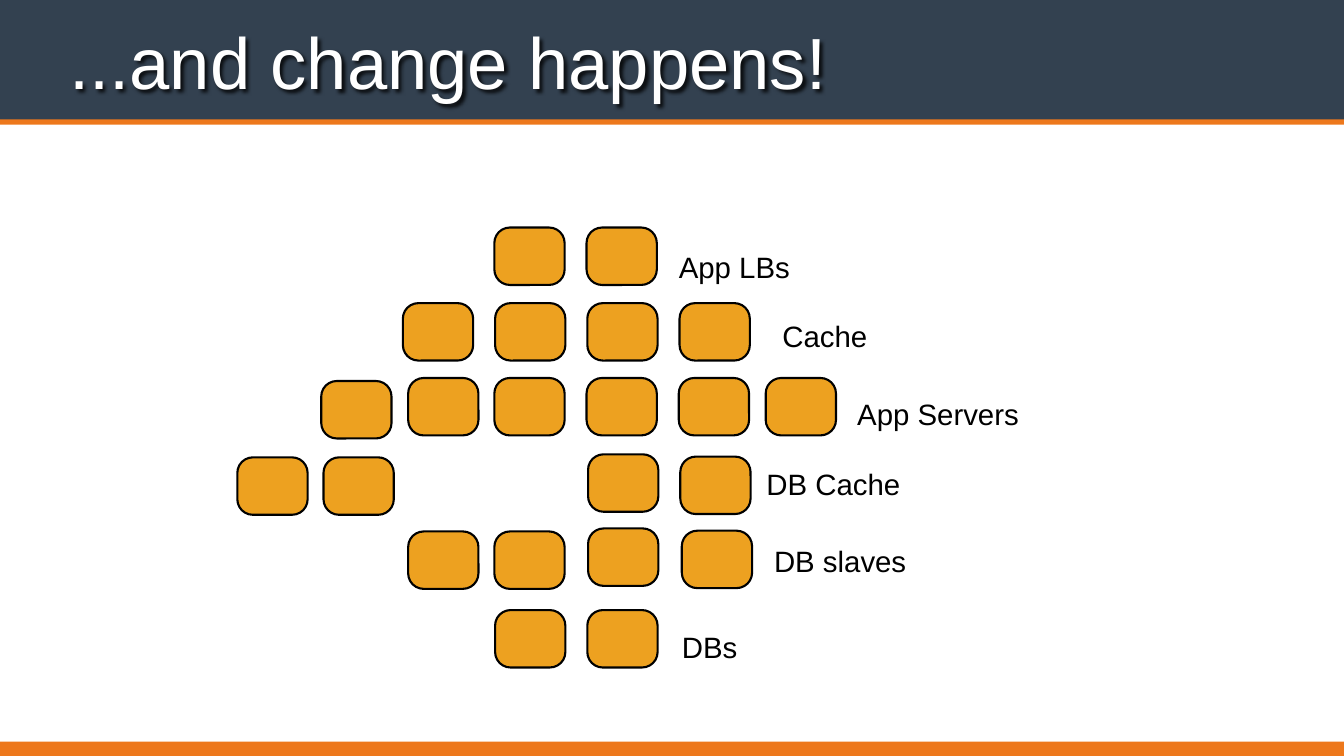
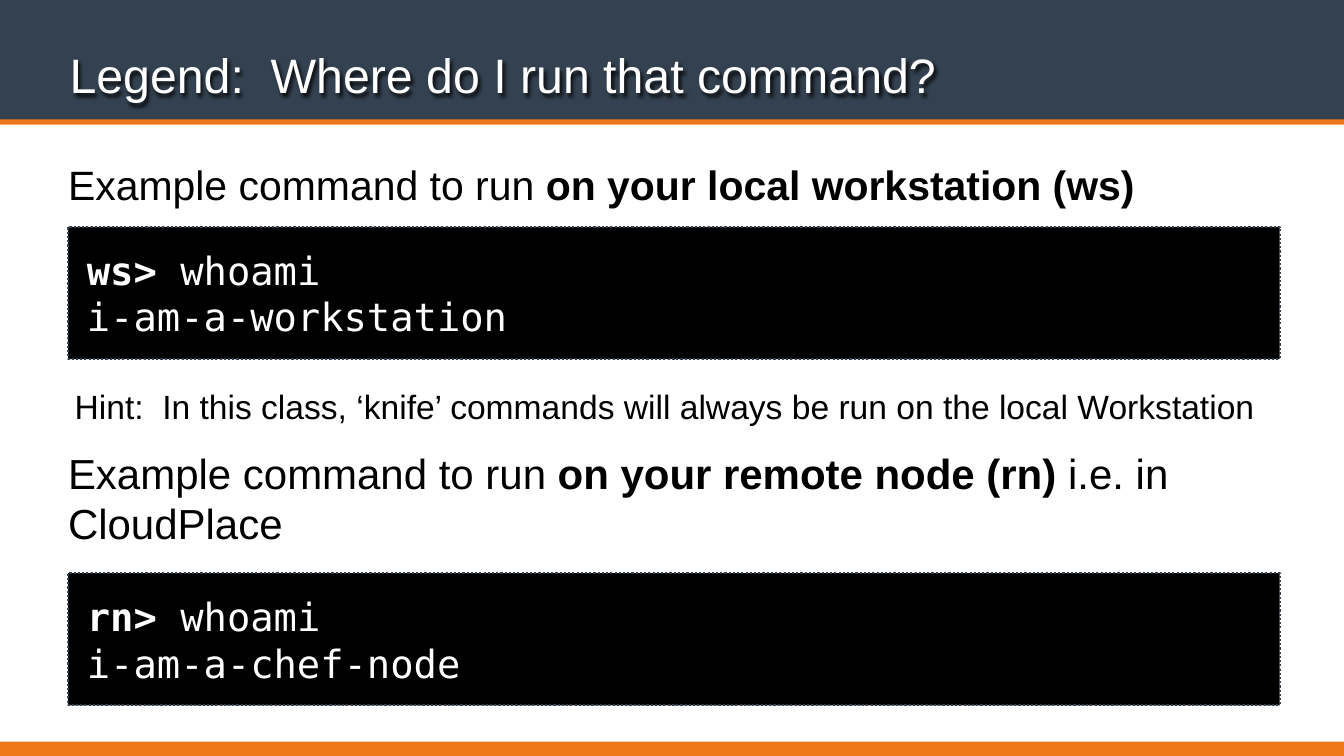
from dataclasses import dataclass

from lxml import etree
from pptx import Presentation
from pptx import util as u
from pptx.dml.color import RGBColor
from pptx.enum import dml, shapes, text
from pptx.oxml import ns

SLATE = RGBColor(0x33, 0x41, 0x50)
ORANGE = RGBColor(0xED, 0x78, 0x1C)
AMBER = RGBColor(0xED, 0xA1, 0x20)
BLACK = RGBColor(0, 0, 0)
WHITE = RGBColor(0xFF, 0xFF, 0xFF)
SANS = "Arial"
MONO = "DejaVu Sans Mono"
RECTANGLE = shapes.MSO_SHAPE.RECTANGLE


@dataclass(frozen=True)
class Area:
    left: float
    top: float
    width: float
    height: float

    def lengths(self):
        return [u.Inches(n) for n in (self.left, self.top, self.width, self.height)]


@dataclass(frozen=True)
class Run:
    text: str
    bold: bool = False


@dataclass(frozen=True)
class TextStyle:
    size: float
    color: RGBColor = BLACK
    font: str = SANS
    inset: float = 0
    anchor: text.MSO_ANCHOR = text.MSO_ANCHOR.MIDDLE
    wrap: bool = True


@dataclass(frozen=True)
class ServerGroup:
    """Evenly spaced servers, starting at left."""
    left: float
    top: float
    count: int = 1
    pitch: float = 0


@dataclass(frozen=True)
class Tier:
    label: str
    label_area: Area
    groups: tuple[ServerGroup, ...]


@dataclass(frozen=True)
class Terminal:
    top: float
    prompt: str
    output: str


BANDS = (
    (Area(0, -0.14, 17.78, 1.78), SLATE),
    (Area(0, 1.58, 17.78, 0.07), ORANGE),
    (Area(0, 9.81, 17.78, 0.25), ORANGE),
)
TITLE_AREA = Area(0.88, 0.19, 16.03, 1.22)
LABEL_STYLE = TextStyle(28)
TERMINAL_STYLE = TextStyle(37, WHITE, MONO, inset=0.25)
WIDE, NARROW = 1.22, 1.14

TIERS = (
    Tier("App LBs", Area(8.98, 3.2, 2.21, 0.67), (ServerGroup(6.54, 3.01, 2, WIDE),)),
    Tier("Cache", Area(10.35, 4.11, 2.44, 0.65), (ServerGroup(5.33, 4.01, 4, WIDE),)),
    Tier("App Servers", Area(11.34, 5.19, 3.32, 0.57), (
        ServerGroup(4.25, 5.04), ServerGroup(5.4, 5, 2, NARROW),
        ServerGroup(7.76, 5, 2, WIDE), ServerGroup(10.13, 5))),
    Tier("DB Cache", Area(10.14, 6.06, 3.6, 0.67), (
        ServerGroup(3.14, 6.05, 2, NARROW), ServerGroup(7.78, 6.01), ServerGroup(9, 6.04))),
    Tier("DB slaves", Area(10.24, 7.03, 3.6, 0.78), (
        ServerGroup(5.4, 7.03, 2, NARROW), ServerGroup(7.78, 6.99), ServerGroup(9.02, 7.02))),
    Tier("DBs", Area(9.02, 8.16, 2.21, 0.78), (ServerGroup(6.55, 8.07, 2, WIDE),)),
)
TERMINALS = (
    Terminal(3, "ws> ", "i-am-a-workstation"),
    Terminal(7.58, "rn> ", "i-am-a-chef-node"),
)


def add_box(slide, area: Area, fill: RGBColor, line: RGBColor | None = None, kind=RECTANGLE):
    shape = slide.shapes.add_shape(kind, *area.lengths())
    shape.shadow.inherit = False
    shape.fill.solid()
    shape.fill.fore_color.rgb = fill
    if line is None:
        shape.line.fill.background()
    else:
        shape.line.color.rgb = line
        shape.line.width = u.Pt(2)
    return shape


def write_text(shape, lines: list[list[Run]], style: TextStyle) -> None:
    frame = shape.text_frame
    frame.word_wrap = style.wrap
    frame.vertical_anchor = style.anchor
    frame.margin_left = frame.margin_right = u.Inches(style.inset)
    frame.margin_top = frame.margin_bottom = u.Inches(style.inset)
    for index, line in enumerate(lines):
        paragraph = frame.add_paragraph() if index else frame.paragraphs[0]
        paragraph.alignment = text.PP_ALIGN.LEFT
        for part in line:
            run = paragraph.add_run()
            run.text = part.text
            run.font.name = style.font
            run.font.size = u.Pt(style.size)
            run.font.bold = part.bold
            run.font.color.rgb = style.color


def add_text(slide, area: Area, runs: list[Run], style: TextStyle):
    shape = slide.shapes.add_textbox(*area.lengths())
    write_text(shape, [runs], style)
    return shape


def add_text_shadow(shape) -> None:
    """Cast a soft shadow down and to the right of the unfilled box's text."""
    effects = etree.SubElement(shape._element.spPr, ns.qn("a:effectLst"))
    shadow = etree.SubElement(effects, ns.qn("a:outerShdw"),
                              blurRad="38100", dist="38100", dir="2700000")
    color = etree.SubElement(shadow, ns.qn("a:srgbClr"), val="000000")
    etree.SubElement(color, ns.qn("a:alpha"), val="80000")


def add_titled_slide(presentation, title: str, size: float):
    slide = presentation.slides.add_slide(presentation.slide_layouts[6])
    for area, color in BANDS:
        add_box(slide, area, color)
    style = TextStyle(size, WHITE, inset=0.04, anchor=text.MSO_ANCHOR.BOTTOM)
    add_text_shadow(add_text(slide, TITLE_AREA, [Run(title)], style))
    return slide


def add_tier(slide, tier: Tier) -> None:
    for group in tier.groups:
        for index in range(group.count):
            area = Area(group.left + index * group.pitch, group.top, 0.93, 0.76)
            server = add_box(slide, area, AMBER, BLACK, shapes.MSO_SHAPE.ROUNDED_RECTANGLE)
            server.adjustments[0] = 0.27
    add_text(slide, tier.label_area, [Run(tier.label)], LABEL_STYLE)


def add_terminal(slide, terminal: Terminal) -> None:
    shape = add_box(slide, Area(0.9, terminal.top, 16.03, 1.75), BLACK, SLATE)
    shape.line.dash_style = dml.MSO_LINE.ROUND_DOT
    lines = [[Run(terminal.prompt, True), Run("whoami")], [Run(terminal.output)]]
    write_text(shape, lines, TERMINAL_STYLE)


def build_change_slide(presentation) -> None:
    slide = add_titled_slide(presentation, "...and change happens!", 69)
    for tier in TIERS:
        add_tier(slide, tier)


def build_legend_slide(presentation) -> None:
    slide = add_titled_slide(presentation, "Legend:  Where do I run that command?", 46)
    for terminal in TERMINALS:
        add_terminal(slide, terminal)
    intro = Run("Example command to run ")
    add_text(slide, Area(0.9, 2.1, 14.7, 0.68),
             [intro, Run("on your local workstation (ws)", True)], TextStyle(39))
    add_text(slide, Area(0.9, 6.25, 16.88, 0.67),
             [intro, Run("on your remote node (rn) ", True), Run("i.e. in CloudPlace")],
             TextStyle(40))
    hint = "Hint:  In this class, ‘knife’ commands will always be run on the local Workstation"
    add_text(slide, Area(0.89, 5, 15.97, 0.64), [Run(hint)],
             TextStyle(32, inset=0.1, anchor=text.MSO_ANCHOR.TOP, wrap=False))


def main() -> None:
    presentation = Presentation()
    presentation.slide_width = u.Inches(17.78)
    presentation.slide_height = u.Inches(10)
    build_change_slide(presentation)
    build_legend_slide(presentation)
    presentation.save("out.pptx")


if __name__ == "__main__":
    main()
